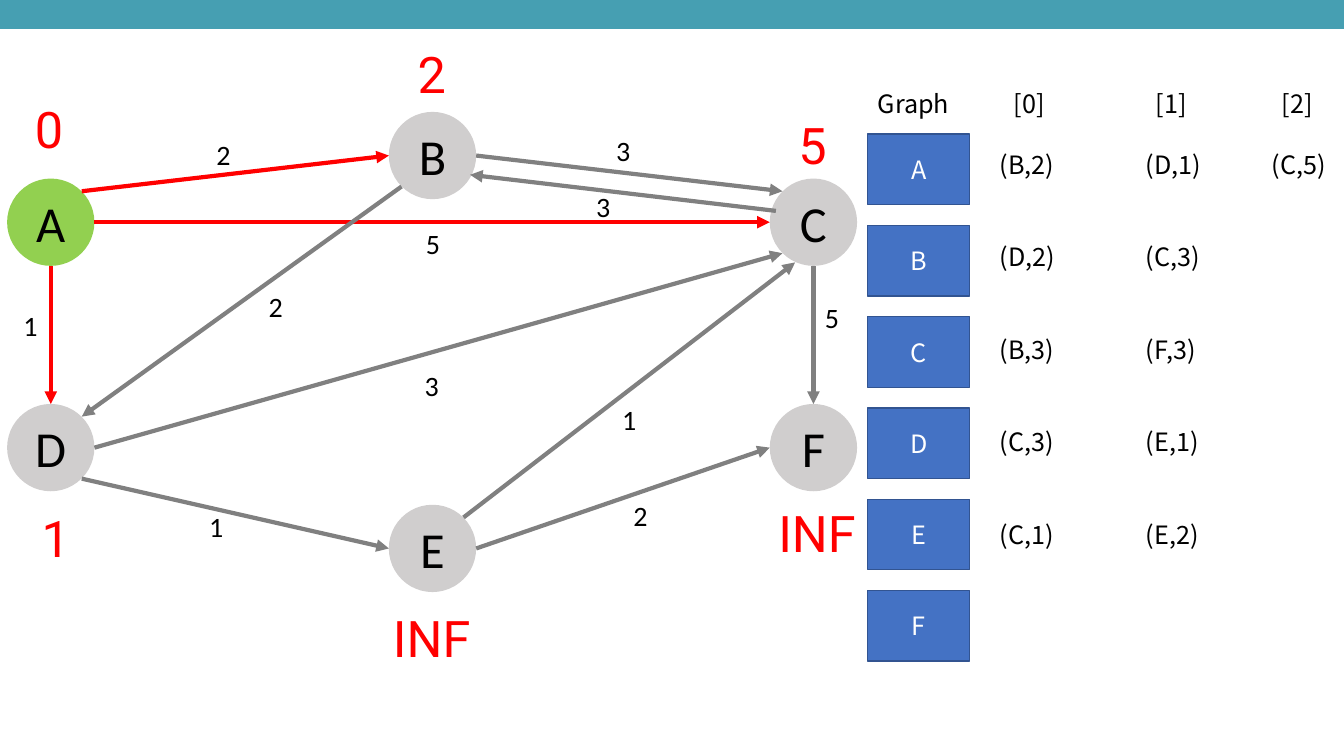
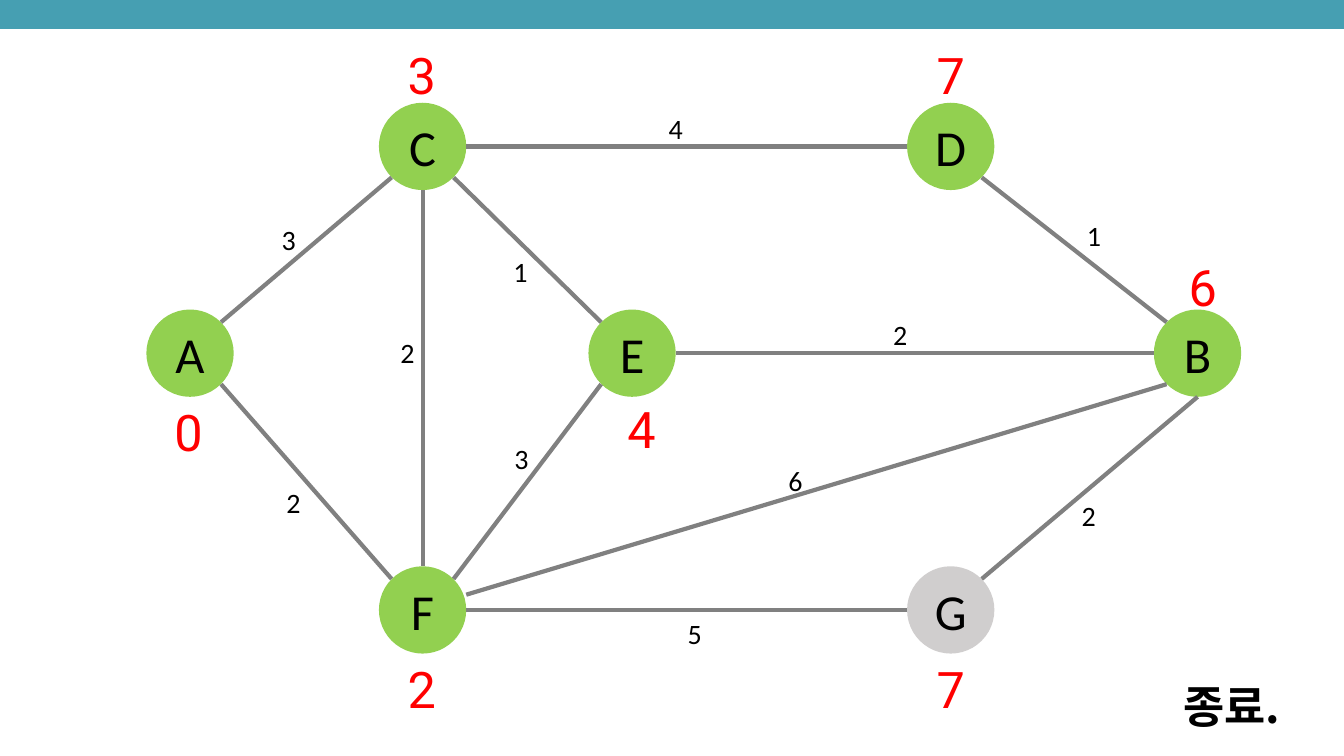
from dataclasses import dataclass

import lxml.etree
import pptx
import pptx.dml.color
import pptx.enum.shapes
import pptx.enum.text
import pptx.oxml.ns
import pptx.presentation
import pptx.shapes.autoshape
import pptx.slide
import pptx.util
from pptx.util import Cm

Point = tuple[float, float]

SLIDE_WIDTH, SLIDE_HEIGHT = 33.87, 19.05
TEAL, GREEN, SILVER, GRAY = "469FB2", "92D050", "D0CECE", "808080"
RED, BLUE, NAVY, BLACK, WHITE = "FF0000", "4472C4", "325491", "000000", "FFFFFF"
NODE_FONT, DISTANCE_FONT, LIST_FONT = "Calibri", "Roboto", "Noto Sans CJK KR"
RADIUS = 1.1
DIAGONAL = 0.71
N, E, S, W = (0, -1), (1, 0), (0, 1), (-1, 0)
NE, NW = (DIAGONAL, -DIAGONAL), (-DIAGONAL, -DIAGONAL)
SE, SW = (DIAGONAL, DIAGONAL), (-DIAGONAL, DIAGONAL)
CENTER = pptx.enum.text.PP_ALIGN.CENTER
LEFT = pptx.enum.text.PP_ALIGN.LEFT


@dataclass(frozen=True)
class Box:
    left: float
    top: float
    width: float
    height: float

    def lengths(self) -> tuple[Cm, Cm, Cm, Cm]:
        return Cm(self.left), Cm(self.top), Cm(self.width), Cm(self.height)


@dataclass(frozen=True)
class TextStyle:
    font: str
    size: int
    color: str
    alignment: int = CENTER
    bold: bool = False


@dataclass(frozen=True)
class Node:
    name: str
    center: Point
    distance: str
    distance_center: Point
    fill: str = GREEN


@dataclass(frozen=True)
class Edge:
    start: str
    start_side: Point
    end: str
    end_side: Point
    weight: str
    weight_center: Point
    color: str = GRAY


NODE_TEXT = TextStyle(NODE_FONT, 36, BLACK)
WEIGHT_TEXT = TextStyle(NODE_FONT, 20, BLACK)
DISTANCE_TEXT = TextStyle(DISTANCE_FONT, 36, RED)
KEY_TEXT = TextStyle(LIST_FONT, 18, WHITE)
ENTRY_TEXT = TextStyle(LIST_FONT, 18, BLACK, LEFT)
END_TEXT = TextStyle(LIST_FONT, 32, BLACK, LEFT, True)

DIRECTED_NODES = [
    Node("A", (1.28, 5.6), "0", (1.24, 3.24)),
    Node("B", (10.9, 3.92), "2", (10.88, 1.87), SILVER),
    Node("C", (20.5, 5.6), "5", (20.48, 3.64), SILVER),
    Node("D", (1.28, 11.28), "1", (1.41, 13.55), SILVER),
    Node("E", (10.9, 13.82), "INF", (10.88, 16.07), SILVER),
    Node("F", (20.5, 11.28), "INF", (20.59, 13.42), SILVER),
]
DIRECTED_EDGES = [
    Edge("A", NE, "B", W, "2", (5.63, 3.89), RED),
    Edge("A", E, "C", W, "5", (10.91, 6.15), RED),
    Edge("A", S, "D", N, "1", (0.77, 8.2), RED),
    Edge("B", SW, "D", NE, "2", (6.95, 7.72)),
    Edge("B", E, "C", NW, "3", (15.71, 3.81)),
    Edge("C", (-0.86, -0.26), "B", (0.86, 0.44), "3", (15.2, 5.21)),
    Edge("D", E, "C", SW, "3", (10.88, 9.73)),
    Edge("D", SE, "E", W, "1", (5.45, 13.28)),
    Edge("E", NE, "C", (-0.42, 0.92), "1", (15.86, 10.57)),
    Edge("E", E, "F", W, "2", (16.14, 13)),
    Edge("C", S, "F", N, "5", (20.97, 8)),
]
UNDIRECTED_NODES = [
    Node("A", (4.79, 8.9), "0", (4.75, 10.88)),
    Node("C", (10.65, 3.69), "3", (10.63, 1.89)),
    Node("F", (10.65, 15.37), "2", (10.63, 17.36)),
    Node("E", (15.93, 8.9), "4", (16.17, 10.81)),
    Node("D", (23.96, 3.69), "7", (23.96, 1.89)),
    Node("B", (30.18, 8.9), "6", (30.31, 7.23)),
    Node("G", (23.96, 15.37), "7", (23.96, 17.36), SILVER),
]
UNDIRECTED_EDGES = [
    Edge("A", NE, "C", SW, "3", (7.28, 6.05)),
    Edge("A", SE, "F", NW, "2", (7.4, 12.67)),
    Edge("C", S, "F", N, "2", (10.27, 8.89)),
    Edge("E", SW, "F", NE, "3", (13.14, 11.56)),
    Edge("C", SE, "E", NW, "1", (13.12, 6.86)),
    Edge("F", E, "G", W, "5", (17.51, 15.98)),
    Edge("C", E, "D", W, "4", (17.03, 3.25)),
    Edge("B", W, "E", E, "2", (22.69, 8.43)),
    Edge("B", SW, "F", (1, -0.35), "6", (20.05, 12.12)),
    Edge("B", S, "G", NE, "2", (27.44, 13)),
    Edge("D", SE, "B", NW, "1", (27.57, 5.94)),
]
ADJACENCY = {
    "A": ["(B,2)", "(D,1)", "(C,5)"],
    "B": ["(D,2)", "(C,3)"],
    "C": ["(B,3)", "(F,3)"],
    "D": ["(C,3)", "(E,1)"],
    "E": ["(C,1)", "(E,2)"],
    "F": [],
}
LIST_HEADERS = {"Graph": 21.87, "[0]": 25.3, "[1]": 28.88, "[2]": 32.05}
ENTRY_LEFTS = [24.94, 28.63, 31.8]


def rgb(color: str) -> pptx.dml.color.RGBColor:
    return pptx.dml.color.RGBColor.from_string(color)


def box_around(center: Point, width: float, height: float) -> Box:
    return Box(center[0] - width / 2, center[1] - height / 2, width, height)


def write_text(shape: pptx.shapes.autoshape.Shape, text: str, style: TextStyle) -> None:
    shape.text_frame.word_wrap = True
    paragraph = shape.text_frame.paragraphs[0]
    paragraph.text = text
    paragraph.alignment = style.alignment
    font = paragraph.font
    font.size = pptx.util.Pt(style.size)
    font.bold = style.bold
    font.color.rgb = rgb(style.color)
    font.name = style.font
    latin = paragraph._p.find(".//" + pptx.oxml.ns.qn("a:latin"))
    east_asian = lxml.etree.Element(pptx.oxml.ns.qn("a:ea"), typeface=style.font)
    latin.addnext(east_asian)


def add_label(slide: pptx.slide.Slide, box: Box, text: str, style: TextStyle) -> None:
    write_text(slide.shapes.add_textbox(*box.lengths()), text, style)


def add_filled_shape(
    slide: pptx.slide.Slide, kind: int, box: Box, fill: str, outline: str | None = None
) -> pptx.shapes.autoshape.Shape:
    shape = slide.shapes.add_shape(kind, *box.lengths())
    shape.shadow.inherit = False
    shape.fill.solid()
    shape.fill.fore_color.rgb = rgb(fill)
    if outline:
        shape.line.color.rgb = rgb(outline)
        shape.line.width = pptx.util.Pt(1)
    else:
        shape.line.fill.background()
    return shape


def add_banded_slide(presentation: pptx.presentation.Presentation) -> pptx.slide.Slide:
    slide = presentation.slides.add_slide(presentation.slide_layouts[6])
    band = Box(0, 0, SLIDE_WIDTH, 0.73)
    add_filled_shape(slide, pptx.enum.shapes.MSO_SHAPE.RECTANGLE, band, TEAL)
    return slide


def point_on(node: Node, side: Point) -> tuple[Cm, Cm]:
    x, y = (middle + RADIUS * part for middle, part in zip(node.center, side))
    return Cm(x), Cm(y)


def add_edge(
    slide: pptx.slide.Slide, edge: Edge, nodes: dict[str, Node], directed: bool
) -> None:
    connector = slide.shapes.add_connector(
        pptx.enum.shapes.MSO_CONNECTOR.STRAIGHT,
        *point_on(nodes[edge.start], edge.start_side),
        *point_on(nodes[edge.end], edge.end_side),
    )
    connector.line.color.rgb = rgb(edge.color)
    connector.line.width = pptx.util.Pt(3)
    properties = connector._element.spPr
    if directed:
        line = properties.find(pptx.oxml.ns.qn("a:ln"))
        lxml.etree.SubElement(line, pptx.oxml.ns.qn("a:tailEnd"), type="triangle")
    lxml.etree.SubElement(properties, pptx.oxml.ns.qn("a:effectLst"))


def add_graph(
    slide: pptx.slide.Slide, nodes: list[Node], edges: list[Edge], directed: bool
) -> None:
    for node in nodes:
        circle_box = box_around(node.center, 2 * RADIUS, 2 * RADIUS)
        circle = add_filled_shape(
            slide, pptx.enum.shapes.MSO_SHAPE.OVAL, circle_box, node.fill
        )
        write_text(circle, node.name, NODE_TEXT)
    nodes_by_name = {node.name: node for node in nodes}
    for edge in edges:
        add_edge(slide, edge, nodes_by_name, directed)
    for edge in edges:
        add_label(slide, box_around(edge.weight_center, 1, 1.12), edge.weight, WEIGHT_TEXT)
    for node in nodes:
        distance_box = box_around(node.distance_center, 2.82, 1.8)
        if distance_box.left < 0:
            distance_box = box_around(node.distance_center, 1.42, 1.8)
        add_label(slide, distance_box, node.distance, DISTANCE_TEXT)


def add_adjacency_list(slide: pptx.slide.Slide) -> None:
    for header, left in LIST_HEADERS.items():
        width = min(2.82, SLIDE_WIDTH - left)
        add_label(slide, Box(left, 2.1, width, 1.02), header, ENTRY_TEXT)
    for row, (name, entries) in enumerate(ADJACENCY.items()):
        key = add_filled_shape(
            slide,
            pptx.enum.shapes.MSO_SHAPE.RECTANGLE,
            Box(LIST_HEADERS["Graph"], 3.38 + 2.3 * row, 2.57, 1.78),
            BLUE,
            NAVY,
        )
        write_text(key, name, KEY_TEXT)
        for left, entry in zip(ENTRY_LEFTS, entries):
            add_label(slide, Box(left, 3.63 + 2.33 * row, 2.05, 1.02), entry, ENTRY_TEXT)


def build() -> None:
    presentation = pptx.Presentation()
    presentation.slide_width = Cm(SLIDE_WIDTH)
    presentation.slide_height = Cm(SLIDE_HEIGHT)

    directed_slide = add_banded_slide(presentation)
    add_graph(directed_slide, DIRECTED_NODES, DIRECTED_EDGES, True)
    add_adjacency_list(directed_slide)

    undirected_slide = add_banded_slide(presentation)
    add_graph(undirected_slide, UNDIRECTED_NODES, UNDIRECTED_EDGES, False)
    add_label(undirected_slide, Box(29.57, 16.97, 4.3, 1.63), "종료.", END_TEXT)

    presentation.save("out.pptx")


build()
